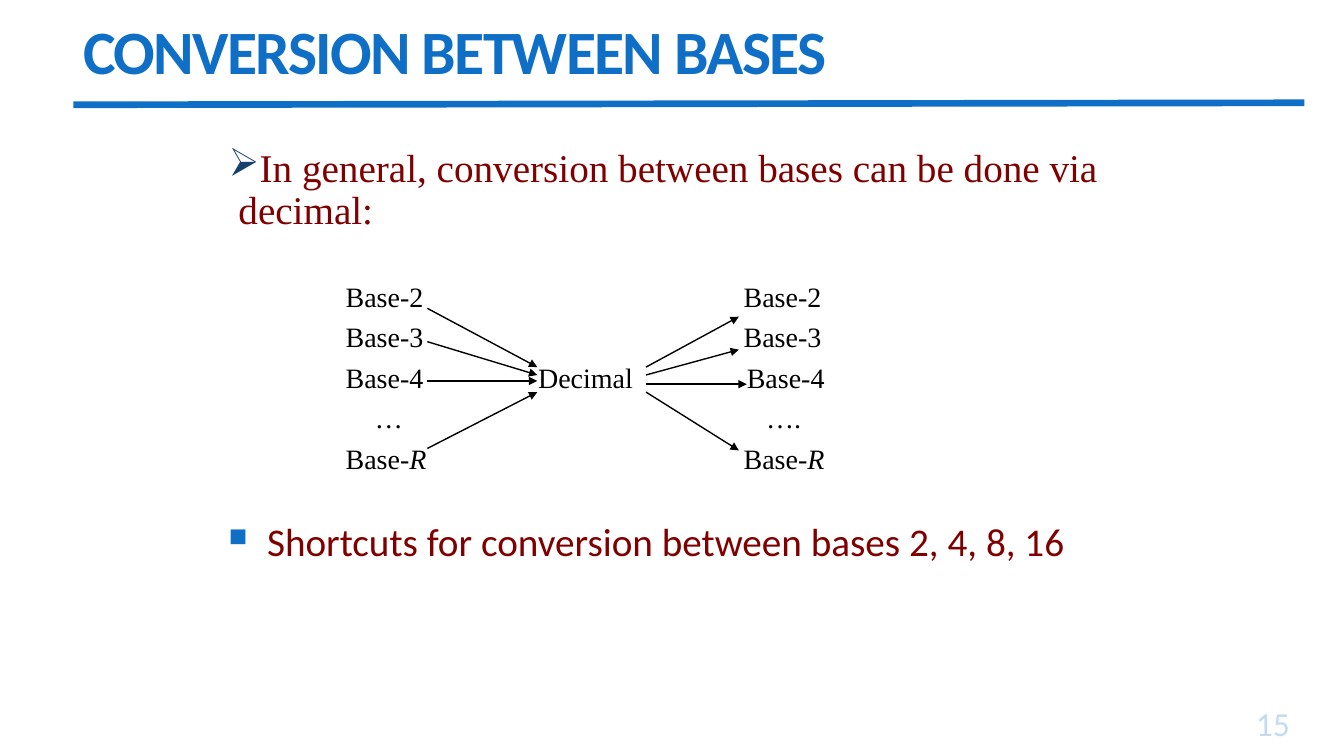
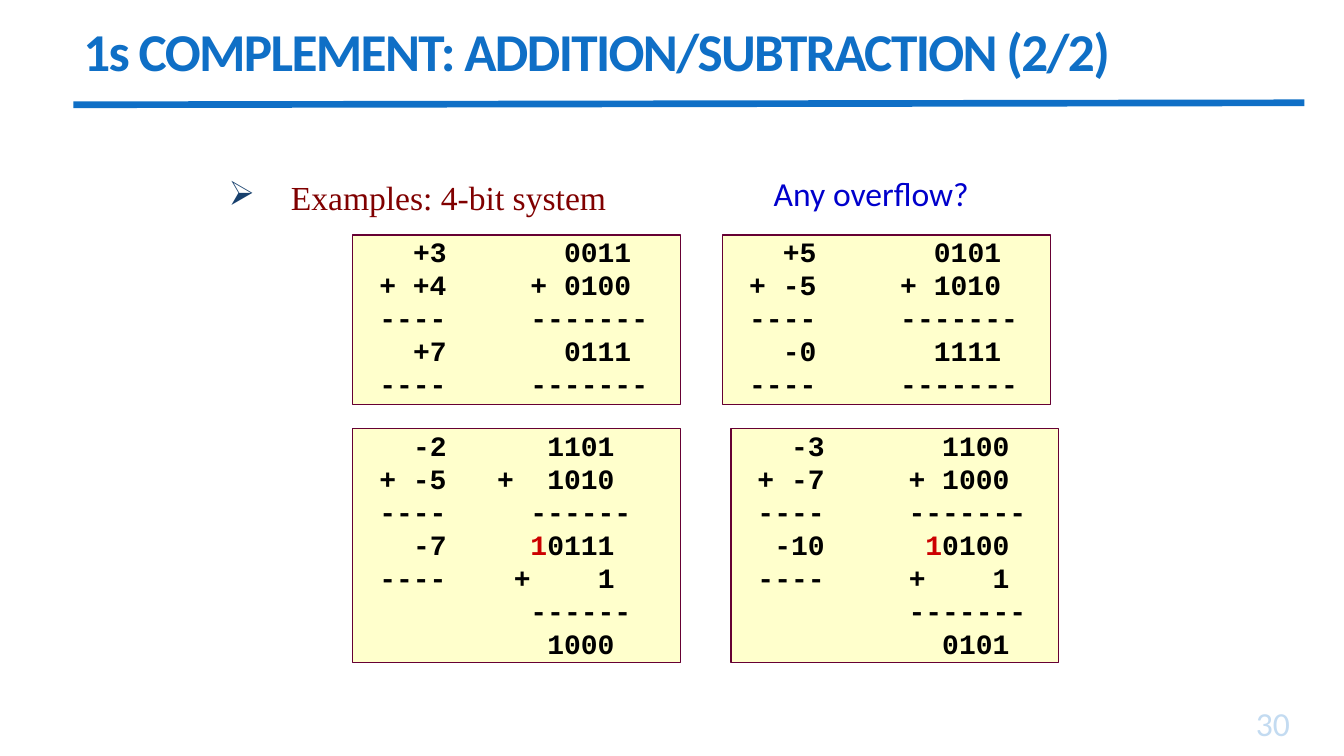
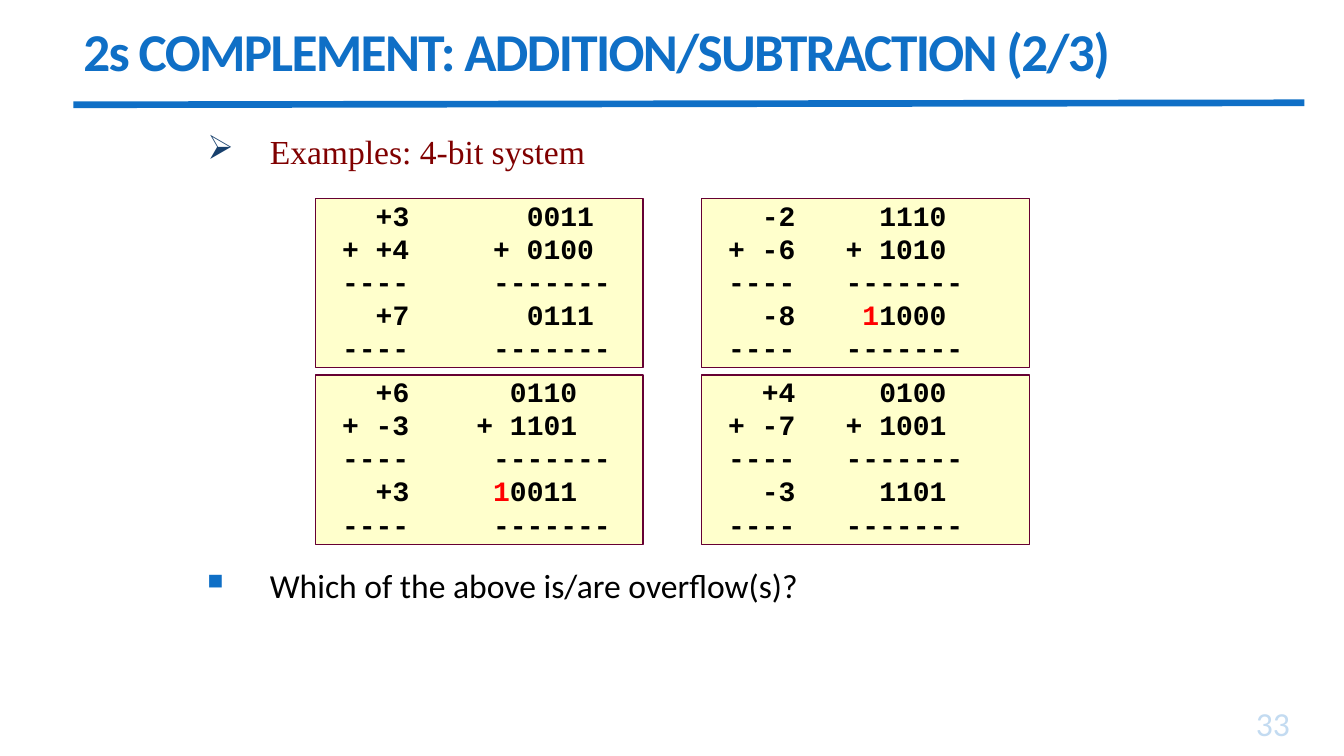
from dataclasses import dataclass
from typing import NamedTuple

from lxml.etree import SubElement
from pptx import Presentation
from pptx.dml.color import RGBColor
from pptx.enum.shapes import MSO_CONNECTOR, MSO_SHAPE
from pptx.enum.text import MSO_ANCHOR, PP_ALIGN
from pptx.oxml.ns import qn
from pptx.util import Cm, Pt

BLUE, NAVY, MAROON, BLACK = "0F6FC6", "17406D", "800000", "000000"
PALE_BLUE, QUESTION_BLUE = "C3DBF1", "0000CC"
CREAM, PLUM = "FFFFCC", "660033"
SANS, SERIF, MONO = "Calibri", "Times New Roman", "Courier New"
CHAR_PT = 12
LEFT_END = 5
SUM_WIDTH = 8.26


class Box(NamedTuple):
    left: float
    top: float
    width: float
    height: float


class Style(NamedTuple):
    font: str
    size: float
    color: str
    bold: bool = False


class Bullet(NamedTuple):
    char: str
    color: str
    percent: int


class Tab(NamedTuple):
    pos: int
    align: str


class Arrow(NamedTuple):
    x1: float
    y1: float
    x2: float
    y2: float


class DiagramRow(NamedTuple):
    cells: tuple[str, ...]
    stops: tuple[float, ...]


@dataclass
class Sum:
    left: float
    top: float
    height: float
    end: int
    rule_end: int
    rows: tuple[str, ...]


TITLE = Style(SANS, 44, BLUE, True)
LONG_TITLE = TITLE._replace(size=38)
DIGITS = Style(MONO, 20, BLACK, True)
LABEL = Style(SERIF, 20, BLACK)
ARROWHEAD = Bullet("➢", NAVY, 100)
SQUARE = Bullet("■", BLUE, 65)

DIAGRAM = (
    DiagramRow(("Base-2", "Base-2"), (10.03,)),
    DiagramRow(("Base-3", "Base-3"), (10.03,)),
    DiagramRow(("Base-4", "Decimal", "Base-4"), (4.85, 10.11)),
    DiagramRow(("", "…", "…."), (0.74, 10.6)),
    DiagramRow(("Base-R", "Base-R"), (10.03,)),
)
ARROWS = (
    *(Arrow(10.77, y1, 13.54, y2)
      for y1, y2 in ((7.77, 9.25), (8.61, 9.45), (9.6, 9.6), (11.3, 9.88))),
    *(Arrow(16.28, y1, x2, y2)
      for y1, x2, y2 in ((9.25, 18.62, 7.98), (9.45, 18.62, 8.81),
                         (9.68, 18.82, 9.68), (9.88, 18.62, 11.35))),
)
RULE = "----|-------"
PLUS_SEVEN = ("+3|0011", "+ +4|+ 0100", RULE, "+7|0111", RULE)
ONES_SUMS = (
    Sum(8.89, 5.92, 4.27, 16, 17, PLUS_SEVEN),
    Sum(18.21, 5.92, 4.27, 16, 17,
        ("+5|0101", "+ -5|+ 1010", RULE, "-0|1111", RULE)),
    Sum(8.89, 10.8, 5.89, 15, 16,
        ("-2|1101", "+ -5|+@9|1010", "----|------", "-7|10111",
         "----|+@10|1", "------", "1000")),
    Sum(18.42, 10.8, 5.89, 16, 17,
        ("-3|1100", "+ -7|+ 1000", RULE, "-10|10100",
         "----|+@11|1", "-------", "0101")),
)
TWOS_SUMS = (
    Sum(7.95, 5, 4.27, 16, 17, PLUS_SEVEN),
    Sum(17.68, 5, 4.27, 14, 15,
        ("-2|1110", "+ -6|+ 1010", RULE, "-8|11000", RULE)),
    Sum(7.95, 9.45, 4.27, 15, 17,
        ("+6|0110", "+ -3|+ 1101", RULE, "+3|10011", RULE)),
    Sum(17.68, 9.45, 4.27, 14, 15,
        ("+4|0100", "+ -7|+ 1001", RULE, "-3|1101", RULE)),
)


def rgb(color: str) -> RGBColor:
    return RGBColor.from_string(color)


def lengths(values: tuple) -> list:
    return [Cm(v) for v in values]


def format_run(r, style: Style) -> None:
    r.font.name = style.font
    r.font.size = Pt(style.size)
    r.font.bold = style.bold
    r.font.color.rgb = rgb(style.color)


def add_run(p, text: str, style: Style):
    r = p.add_run()
    r.text = text
    format_run(r, style)
    return r


def add_text(slide, box: Box, text: str, style: Style):
    sp = slide.shapes.add_textbox(*lengths(box))
    tf = sp.text_frame
    tf.word_wrap = True
    tf.text = text
    for r in tf.paragraphs[0].runs:
        format_run(r, style)
    return tf


def add_bullet(p, bullet: Bullet, indent: float) -> None:
    pPr = p._p.get_or_add_pPr()
    pPr.set("marL", str(Cm(indent)))
    pPr.set("indent", str(-Cm(indent)))
    color = SubElement(pPr, qn("a:buClr"))
    SubElement(color, qn("a:srgbClr"), val=bullet.color)
    SubElement(pPr, qn("a:buSzPct"), val=str(bullet.percent * 1000))
    SubElement(pPr, qn("a:buChar"), char=bullet.char)


def add_tabs(p, tabs: list[Tab]) -> None:
    tab_list = SubElement(p._p.get_or_add_pPr(), qn("a:tabLst"))
    for tab in tabs:
        SubElement(tab_list, qn("a:tab"), pos=str(tab.pos), algn=tab.align)


def add_point(slide, box: Box, text: str, style: Style, bullet: Bullet,
              indent: float, spacing: float = 1) -> None:
    p = add_text(slide, box, text, style).paragraphs[0]
    p.line_spacing = spacing
    add_bullet(p, bullet, indent)


def add_line(slide, ends: Arrow, color: str, width: float):
    line = slide.shapes.add_connector(MSO_CONNECTOR.STRAIGHT, *lengths(ends))
    line.line.color.rgb = rgb(color)
    line.line.width = Pt(width)
    SubElement(line._element.spPr, qn("a:effectLst"))
    return line


def add_arrow(slide, arrow: Arrow) -> None:
    line = add_line(slide, arrow, BLACK, 1)
    SubElement(line.line._get_or_add_ln(), qn("a:tailEnd"), type="triangle")


def add_frame(prs, title: str, style: Style, number: int):
    slide = prs.slides.add_slide(prs.slide_layouts[6])
    add_line(slide, Arrow(1.85, 2.64, 32.87, 2.59), BLUE, 4.75)
    tf = add_text(slide, Box(29.46, 17.78, 3.3, 1.07), str(number),
                  Style(SANS, 24, PALE_BLUE))
    tf.vertical_anchor = MSO_ANCHOR.BOTTOM
    tf.paragraphs[0].alignment = PP_ALIGN.RIGHT
    tf = add_text(slide, Box(1.85, 0.2, 29.92, 2.39), title, style)
    tf.vertical_anchor = MSO_ANCHOR.MIDDLE
    p = tf.paragraphs[0]
    p.line_spacing = 0.85
    p.runs[0]._r.get_or_add_rPr().set("spc", "-120")
    return slide


def add_diagram(slide) -> None:
    sp = slide.shapes.add_textbox(*lengths(Box(8.46, 6.91, 13.46, 5.21)))
    tf = sp.text_frame
    tf.word_wrap = True
    for i, row in enumerate(DIAGRAM):
        p = tf.add_paragraph() if i else tf.paragraphs[0]
        p.space_before = Pt(5)
        add_tabs(p, [Tab(Cm(stop), "l") for stop in row.stops])
        for j, cell in enumerate(row.cells):
            text = "\t" + cell if j else cell
            stem = text.removesuffix("R")
            if stem:
                add_run(p, stem, LABEL)
            if stem != text:
                add_run(p, "R", LABEL).font.italic = True
    for arrow in ARROWS:
        add_arrow(slide, arrow)


def add_sum_row(p, total: Sum, row: str, carry_color: str) -> None:
    """Right-align each cell at its character column and colour a fifth bit."""
    cells = row.split("|")
    tabs = []
    p.line_spacing = 0.85
    p.space_before = Pt(3.2)
    for i, cell in enumerate(cells):
        text, _, column = cell.partition("@")
        if column:
            end = int(column)
        elif i == 0 and len(cells) > 1:
            end = LEFT_END
        else:
            end = total.end if text.strip("-") else total.rule_end
        tabs.append(Tab(Pt(CHAR_PT * end), "r"))
        if text.isdigit() and len(text) == 5:
            add_run(p, "\t", DIGITS)
            add_run(p, text[0], DIGITS._replace(color=carry_color))
            add_run(p, text[1:], DIGITS)
        else:
            add_run(p, "\t" + text, DIGITS)
    add_tabs(p, tabs)


def add_sum(slide, total: Sum, carry_color: str) -> None:
    box = Box(total.left, total.top, SUM_WIDTH, total.height)
    sp = slide.shapes.add_shape(MSO_SHAPE.RECTANGLE, *lengths(box))
    sp.shadow.inherit = False
    sp.fill.solid()
    sp.fill.fore_color.rgb = rgb(CREAM)
    sp.line.color.rgb = rgb(PLUM)
    sp.line.width = Pt(1)
    tf = sp.text_frame
    tf.vertical_anchor = MSO_ANCHOR.TOP
    for i, row in enumerate(total.rows):
        p = tf.add_paragraph() if i else tf.paragraphs[0]
        p.alignment = PP_ALIGN.LEFT
        add_sum_row(p, total, row, carry_color)


def add_examples(slide, left: float, top: float, sums: tuple[Sum, ...],
                 carry_color: str) -> None:
    add_point(slide, Box(left, top, 22.86, 1.47), "Examples: 4-bit system",
              Style(SERIF, 24, MAROON), ARROWHEAD, 1.57, 0.9)
    for total in sums:
        add_sum(slide, total, carry_color)


def main() -> None:
    prs = Presentation()
    prs.slide_width, prs.slide_height = Cm(33.87), Cm(19.05)

    slide = add_frame(prs, "CONVERSION BETWEEN BASES", TITLE, 15)
    add_point(slide, Box(5.51, 3.61, 22.86, 3.18),
              "In general, conversion between bases can be done via decimal:",
              Style(SERIF, 28, MAROON), ARROWHEAD, 0.25, 0.9)
    add_point(slide, Box(5.51, 12.9, 22.86, 2.97),
              "Shortcuts for conversion between bases 2, 4, 8, 16",
              Style(SANS, 28, MAROON), SQUARE, 0.97)
    add_diagram(slide)

    slide = add_frame(prs, "1s COMPLEMENT: ADDITION/SUBTRACTION (2/2)",
                      LONG_TITLE, 30)
    add_examples(slide, 5.51, 4.45, ONES_SUMS, "CC0000")
    add_text(slide, Box(19.25, 4.24, 7.62, 1.3), "Any overflow?",
             Style(SANS, 24, QUESTION_BLUE))

    slide = add_frame(prs, "2s COMPLEMENT: ADDITION/SUBTRACTION (2/3)",
                      LONG_TITLE, 33)
    add_examples(slide, 4.98, 3.3, TWOS_SUMS, "FF0000")
    add_point(slide, Box(4.98, 14.1, 22.86, 1.9),
              "Which of the above is/are overflow(s)?",
              Style(SANS, 24, BLACK), SQUARE, 1.57)

    prs.save("out.pptx")


if __name__ == "__main__":
    main()
